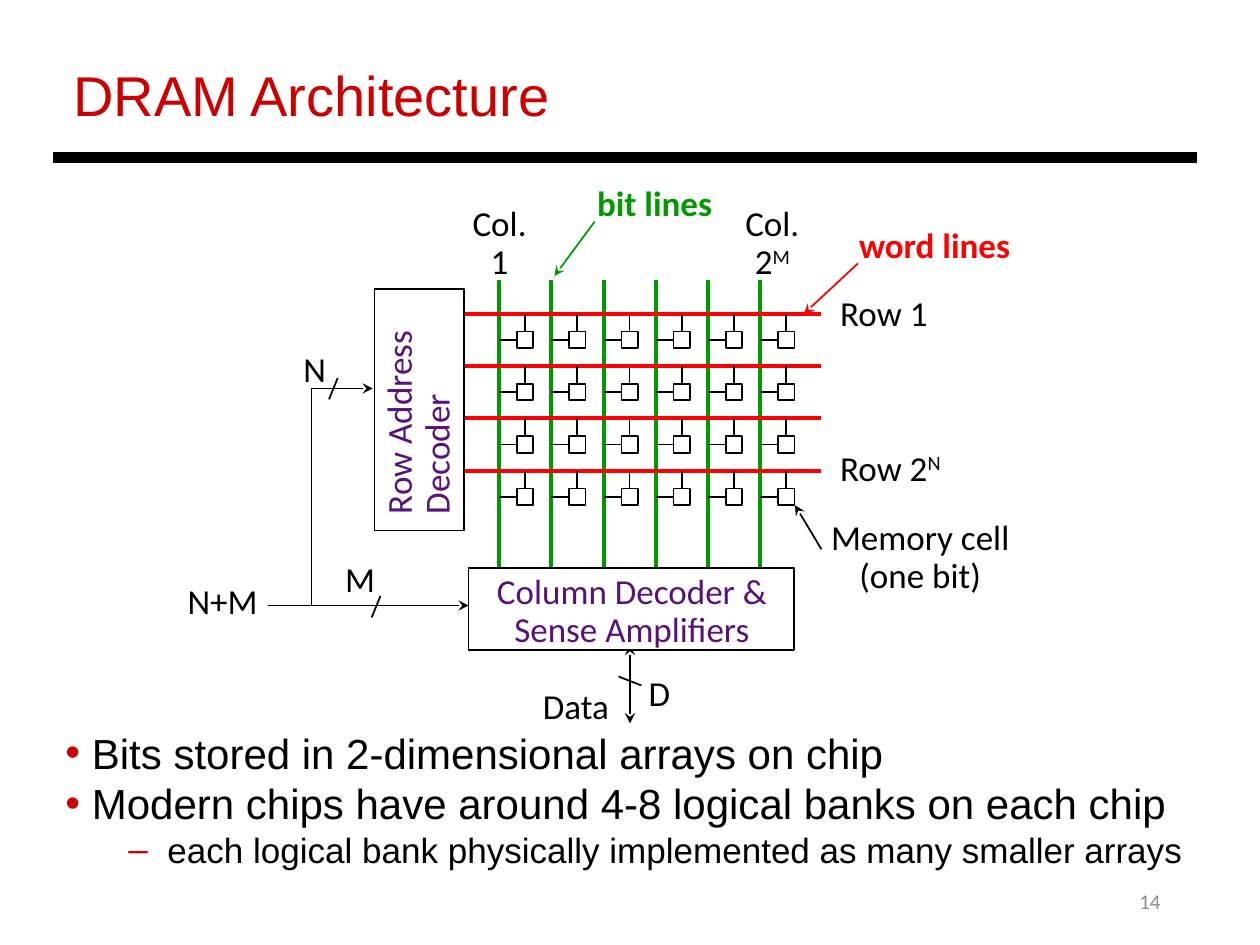
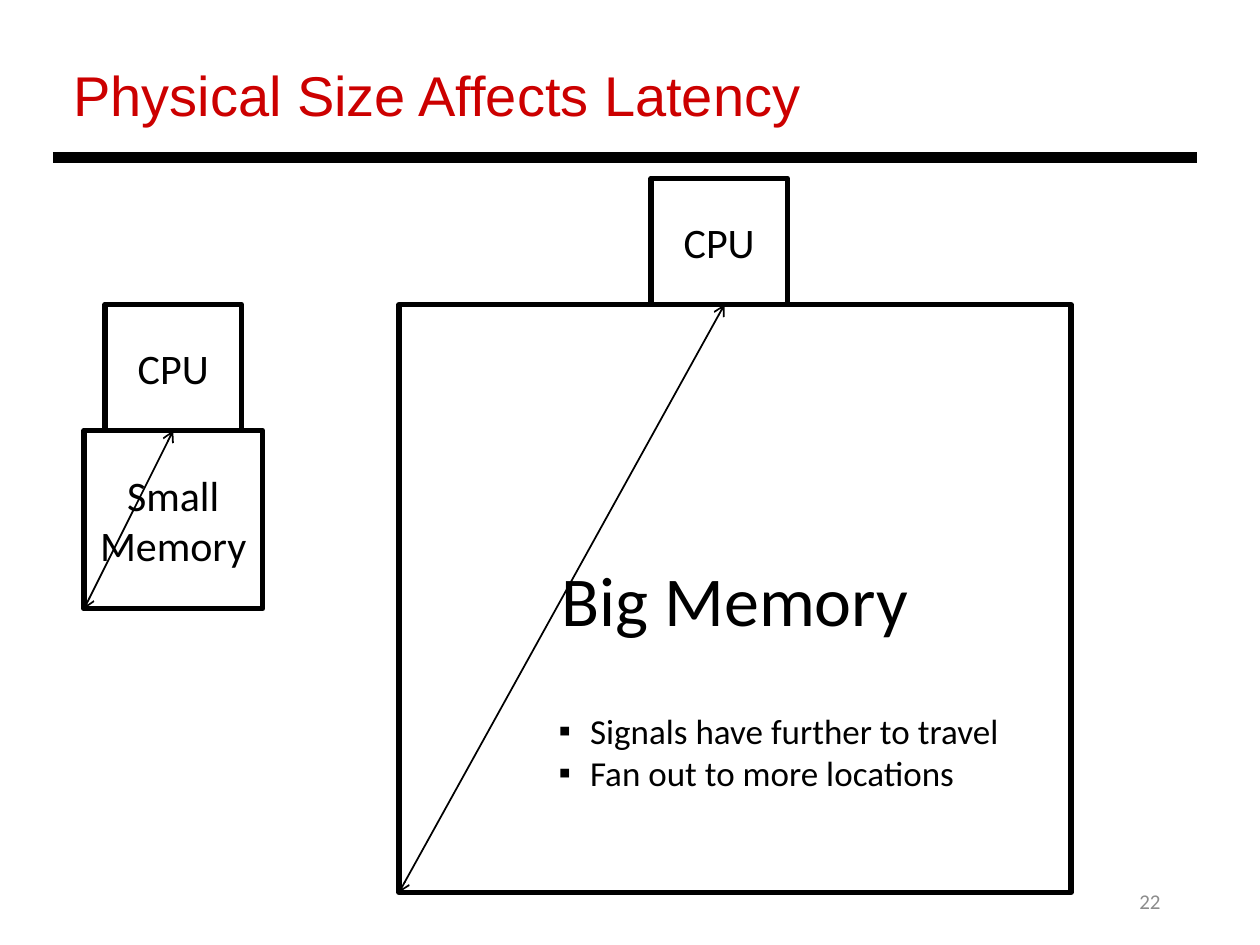
"""Build two lecture slides on DRAM architecture and memory latency."""
from dataclasses import dataclass

from lxml.etree import SubElement
from pptx import Presentation
from pptx.dml.color import RGBColor
from pptx.enum.shapes import MSO_CONNECTOR as Connector, MSO_SHAPE as Preset
from pptx.enum.text import MSO_ANCHOR as Anchor, MSO_AUTO_SIZE as AutoSize, PP_ALIGN as Align
from pptx.oxml.ns import qn
from pptx.util import Pt


@dataclass(frozen=True)
class Theme:
    heading_font: str = "Arial"
    diagram_font: str = "Calibri"
    black: str = "000000"
    white: str = "FFFFFF"
    title: str = "CC0000"
    number: str = "8C8C8C"
    decoder: str = "56127A"
    word_line: str = "FF0000"
    bit_line: str = "009900"
    title_size: int = 32
    body_size: int = 24
    label_size: int = 20
    number_size: int = 12
    big_size: int = 40


theme = Theme()


def add_text(paragraph, text, size, colour=theme.black, font=theme.diagram_font, bold=False):
    for index, part in enumerate(text.split("^")):
        run = paragraph.add_run()
        run.text = part
        run.font.size = Pt(size)
        run.font.name = font
        run.font.bold = bold
        run.font.color.rgb = RGBColor.from_string(colour)
        if index:
            run.font._element.set("baseline", "30000")


def style_line(shape, colour=theme.black, width=1, head=None, tail=None):
    shape.line.color.rgb = RGBColor.from_string(colour)
    shape.line.width = Pt(width)
    properties = shape.element.spPr
    for tag, arrow in (("a:headEnd", head), ("a:tailEnd", tail)):
        if arrow:
            SubElement(properties.find(qn("a:ln")), qn(tag), type=arrow)
    SubElement(properties, qn("a:effectLst"))


presentation = Presentation()
presentation.slide_width, presentation.slide_height = Pt(720), Pt(540)

page_specs = [
    ("DRAM Architecture", "14", (30.2, 412, 669, 90), theme.heading_font, theme.title, [
        ("Bits stored in 2-dimensional arrays on chip", 0, theme.body_size, "•", 15.1, 15.1),
        ("Modern chips have around 4-8 logical banks on each chip", 0, theme.body_size, "•", 15.1, 15.1),
        ("each logical bank physically implemented as many smaller arrays", 1, theme.label_size, "–", 58.3, 22.3),
    ]),
    ("Physical Size Affects Latency", "22", (312, 402, 276, 67.7), theme.diagram_font, theme.black, [
        ("Signals have further to travel", 0, theme.label_size, "▪", 18, 18),
        ("Fan out to more locations", 0, theme.label_size, "▪", 18, 18),
    ]),
]

slides = []
for title_text, number, body_place, body_font, bullet_colour, items in page_specs:
    slide = presentation.slides.add_slide(presentation.slide_layouts[1])
    slides.append(slide)
    title, body = slide.placeholders
    number_box = slide.shapes.add_textbox(Pt(508.3), Pt(500.4), Pt(162), Pt(28.8))
    for shape, place, anchor in ((title, (34.6, 31, 554.4, 46), Anchor.MIDDLE),
                                 (body, body_place, Anchor.TOP),
                                 (number_box, (508.3, 500.4, 162, 28.8), Anchor.MIDDLE)):
        shape.left, shape.top, shape.width, shape.height = map(Pt, place)
        shape.text_frame.word_wrap = True
        shape.text_frame.auto_size = AutoSize.NONE
        shape.text_frame.vertical_anchor = anchor

    paragraph = title.text_frame.paragraphs[0]
    paragraph.alignment = Align.LEFT
    add_text(paragraph, title_text, theme.title_size, theme.title, theme.heading_font)
    paragraph = number_box.text_frame.paragraphs[0]
    paragraph.alignment = Align.RIGHT
    add_text(paragraph, number, theme.number_size, theme.number)

    for index, (text, level, size, bullet, margin, hanging) in enumerate(items):
        frame = body.text_frame
        paragraph = frame.add_paragraph() if index else frame.paragraphs[0]
        paragraph.level = level
        paragraph.space_before = Pt(0)
        properties = paragraph._p.get_or_add_pPr()
        properties.set("marL", str(Pt(margin)))
        properties.set("indent", str(-Pt(hanging)))
        SubElement(SubElement(properties, qn("a:buClr")), qn("a:srgbClr"), val=bullet_colour)
        SubElement(properties, qn("a:buFont"), typeface=theme.heading_font)
        SubElement(properties, qn("a:buChar"), char=bullet)
        add_text(paragraph, text, size, font=body_font)

    rule = slide.shapes.add_connector(Connector.STRAIGHT, Pt(30.2), Pt(90), Pt(684), Pt(90))
    style_line(rule, width=6)

dram, latency = slides

columns = [285.2 + 29.85 * index for index in range(6)]
rows = [179.3 + 29.9 * index for index in range(4)]
cell_offset, cell_size = 10.2, 9.4
cell_middle = cell_offset + cell_size / 2

blocks = [(214, 165, 51, 138.2), (267.8, 324.7, 185.8, 46.8)]
wires = [(column, 159.8, column, 329, theme.bit_line, 2.25, None, None) for column in columns]
wires += [(265.7, row, 469.4, row, theme.word_line, 2.25, None, None) for row in rows]
for column in columns:
    for row in rows:
        blocks.append((column + cell_offset, row + cell_offset, cell_size, cell_size))
        stem, arm = column + cell_middle, row + cell_middle
        wires.append((stem, row + cell_offset, stem, row, theme.black, 1, None, None))
        wires.append((column + cell_offset, arm, column, arm, theme.black, 1, None, None))
wires += [
    (153.4, 346, 267.8, 346, theme.black, 1, None, "stealth"),
    (217.4, 340.6, 212.4, 352.8, theme.black, 1, None, None),
    (193, 216, 188, 228.2, theme.black, 1, None, None),
    (339.8, 126.7, 316.8, 157.7, theme.bit_line, 1, None, "stealth"),
    (490.3, 150.5, 459.4, 179.3, theme.word_line, 1, None, "stealth"),
    (469.4, 313.9, 454.3, 288.7, theme.black, 1, None, "stealth"),
    (360, 368.6, 360, 413.3, theme.black, 1, "stealth", "stealth"),
    (366.5, 391.7, 353.5, 386.6, theme.black, 1, None, None),
]

for x1, y1, x2, y2, colour, width, head, tail in wires:
    wire = dram.shapes.add_connector(Connector.STRAIGHT, Pt(x1), Pt(y1), Pt(x2), Pt(y2))
    style_line(wire, colour, width, head, tail)
for place in blocks:
    block = dram.shapes.add_shape(Preset.RECTANGLE, *map(Pt, place))
    block.fill.solid()
    block.fill.fore_color.rgb = RGBColor.from_string(theme.white)
    style_line(block)

outline = dram.shapes.build_freeform(Pt(178), Pt(346))
outline.add_line_segments([(Pt(178), Pt(222)), (Pt(213), Pt(222))], close=False)
row_address_wire = outline.convert_to_shape()
row_address_wire.fill.background()
style_line(row_address_wire, tail="stealth")

labels = [
    ("Row Address Decoder", (169.9, 205.2, 140.4, 51.1), Align.LEFT, theme.decoder, False, True, 270),
    ("Column Decoder & Sense Amplifiers", (262.1, 324.7, 198, 51.1), Align.CENTER, theme.decoder, False, True, 0),
    ("Col.\n1", (256.3, 114.5, 58.3, 51.1), Align.CENTER, theme.black, False, True, 0),
    ("Col.\n2^M", (418.3, 114.5, 46.1, 51.1), Align.CENTER, theme.black, False, False, 0),
    ("Row 1", (473, 165.6, 65.5, 29.5), Align.LEFT, theme.black, False, False, 0),
    ("Row 2^N", (473, 254.2, 74.2, 29.5), Align.LEFT, theme.black, False, False, 0),
    ("M", (190.1, 317.5, 31.7, 29.5), Align.LEFT, theme.black, False, False, 0),
    ("N", (166.3, 198, 27.4, 29.5), Align.LEFT, theme.black, False, False, 0),
    ("N+M", (100.1, 330.5, 54.7, 29.5), Align.LEFT, theme.black, False, False, 0),
    ("bit lines", (334.1, 103, 81.4, 29.5), Align.LEFT, theme.bit_line, True, False, 0),
    ("word lines", (483.8, 126.7, 102.2, 29.5), Align.LEFT, theme.word_line, True, False, 0),
    ("Memory cell\n(one bit)", (462.2, 293.8, 127.4, 51.1), Align.CENTER, theme.black, False, True, 0),
    ("D", (363.6, 383, 27.4, 29.5), Align.LEFT, theme.black, False, False, 0),
    ("Data", (303.1, 390.2, 53.3, 29.5), Align.LEFT, theme.black, False, False, 0),
]
for text, place, alignment, colour, bold, wrap, rotation in labels:
    label = dram.shapes.add_textbox(*map(Pt, place))
    label.rotation = rotation
    frame = label.text_frame
    frame.word_wrap = wrap
    frame.auto_size = AutoSize.SHAPE_TO_FIT_TEXT
    for index, line in enumerate(text.split("\n")):
        paragraph = frame.add_paragraph() if index else frame.paragraphs[0]
        paragraph.alignment = alignment
        paragraph.line_spacing = 0.9
        add_text(paragraph, line, theme.label_size, colour, bold=bold)

memories = [
    ("Small Memory", theme.body_size, (48, 246, 102, 102), (60, 174, 78, 72), 99),
    ("Big Memory", theme.big_size, (228, 174, 384, 336), (372, 102, 78, 72), 414),
]
for name, size, memory_place, cpu_place, port in memories:
    for text, text_size, place in ((name, size, memory_place), ("CPU", theme.body_size, cpu_place)):
        box = latency.shapes.add_shape(Preset.RECTANGLE, *map(Pt, place))
        box.fill.solid()
        box.fill.fore_color.rgb = RGBColor.from_string(theme.white)
        style_line(box, width=3)
        box.text_frame.word_wrap = True
        box.text_frame.vertical_anchor = Anchor.MIDDLE
        paragraph = box.text_frame.paragraphs[0]
        paragraph.alignment = Align.CENTER
        add_text(paragraph, text, text_size)
    left, top, width, height = memory_place
    signal_path = latency.shapes.add_connector(
        Connector.STRAIGHT, Pt(left), Pt(top + height), Pt(port), Pt(top))
    style_line(signal_path, head="arrow", tail="arrow")

latency_notes = latency.placeholders[1].element
latency_notes.getparent().append(latency_notes)

presentation.save("out.pptx")
